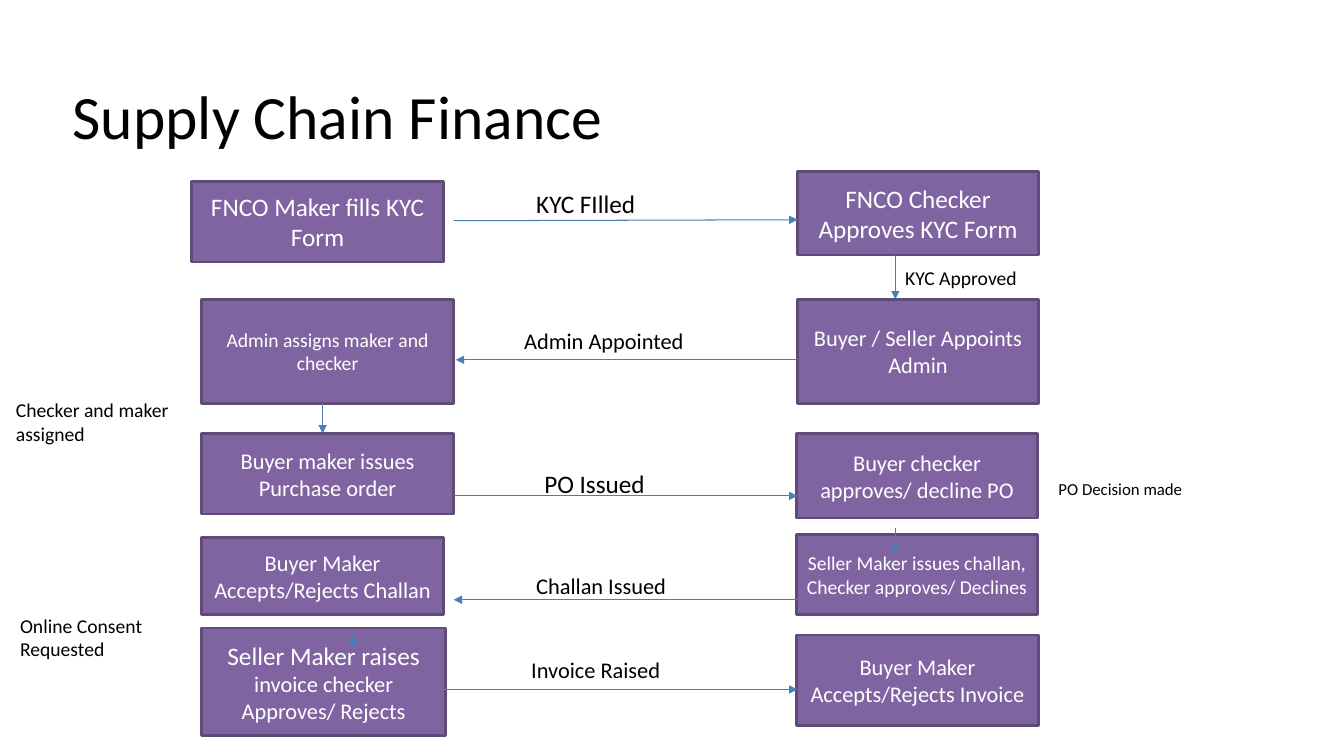
from dataclasses import dataclass

from lxml.etree import SubElement
from pptx import Presentation
from pptx.dml.color import RGBColor
from pptx.enum.shapes import MSO_CONNECTOR, MSO_SHAPE
from pptx.enum.text import MSO_ANCHOR, MSO_AUTO_SIZE, PP_ALIGN
from pptx.oxml.ns import qn
from pptx.slide import Slide
from pptx.text.text import TextFrame
from pptx.util import Emu, Pt

EMU_PER_PX = 9144  # 100 px to the inch
FONT = "Calibri"
COLORS = {
    "text": "000000",
    "step_text": "FFFFFF",
    "step_fill": "8064A2",
    "step_line": "5F4A78",
    "arrow": "4A7EBB",
}


@dataclass(frozen=True)
class Run:
    text: str
    size: int


@dataclass(frozen=True)
class Block:
    left: int
    top: int
    width: int
    height: int
    runs: tuple[Run, ...]


@dataclass(frozen=True)
class Arrow:
    x1: int
    y1: int
    x2: int
    y2: int


STEPS = (
    Block(190, 180, 250, 80, (Run("FNCO Maker fills KYC Form", 18),)),
    Block(791, 170, 239, 83, (Run("FNCO Checker Approves KYC Form", 18),)),
    Block(791, 297, 239, 103, (Run("Buyer / Seller Appoints Admin", 16),)),
    Block(200, 297, 250, 103, (Run("Admin assigns maker and checker", 14),)),
    Block(200, 430, 250, 80, (Run("Buyer maker issues Purchase order", 16),)),
    Block(790, 430, 239, 84, (Run("Buyer checker approves/ decline PO", 16),)),
    Block(790, 530, 239, 80,
          (Run("Seller Maker issues challan, Checker approves/ Declines", 14),)),
    Block(200, 533, 240, 77, (Run("Buyer Maker Accepts/Rejects Challan", 16),)),
    Block(200, 623, 242, 107,
          (Run("Seller Maker raises ", 18), Run("invoice checker Approves/ Rejects", 16))),
    Block(790, 630, 240, 90, (Run("Buyer Maker Accepts/Rejects Invoice", 16),)),
)

ARROWS = (
    Arrow(450, 219, 791, 218),
    Arrow(888, 253, 888, 297),
    Arrow(791, 357, 452, 357),
    Arrow(320, 400, 320, 430),
    Arrow(450, 492, 791, 492),
    Arrow(888, 524, 888, 550),
    Arrow(791, 595, 450, 595),
    Arrow(350, 627, 350, 643),
    Arrow(434, 684, 791, 684),
)

EVENTS = (
    Block(522, 182, 181, 40, (Run("KYC FIlled", 18),)),
    Block(888, 259, 227, 33, (Run("KYC Approved", 14),)),
    Block(510, 320, 212, 36, (Run("Admin Appointed", 16),)),
    Block(6, 390, 204, 56, (Run("Checker and maker assigned", 14),)),
    Block(530, 460, 192, 40, (Run("PO Issued", 18),)),
    Block(1040, 470, 143, 50, (Run("PO Decision made", 12),)),
    Block(522, 563, 212, 36, (Run("Challan Issued", 16),)),
    Block(10, 604, 185, 56, (Run("Online Consent Requested", 14),)),
    Block(517, 646, 226, 36, (Run("Invoice Raised", 16),)),
)

HEADING = Block(62, 37, 1063, 164, (Run("Supply Chain Finance", 44),))


def px(length: int) -> Emu:
    return Emu(length * EMU_PER_PX)


def color(name: str) -> RGBColor:
    return RGBColor.from_string(COLORS[name])


def bounds(block: Block) -> tuple[Emu, Emu, Emu, Emu]:
    return px(block.left), px(block.top), px(block.width), px(block.height)


def write(frame: TextFrame, runs: tuple[Run, ...], ink: str,
          align: PP_ALIGN, anchor: MSO_ANCHOR) -> None:
    frame.word_wrap = True
    frame.auto_size = MSO_AUTO_SIZE.NONE
    frame.vertical_anchor = anchor
    paragraph = frame.paragraphs[0]
    paragraph.alignment = align
    for part in runs:
        run = paragraph.add_run()
        run.text = part.text
        run.font.name = FONT
        run.font.size = Pt(part.size)
        run.font.color.rgb = color(ink)


def add_heading(slide: Slide, heading: Block) -> None:
    title = slide.shapes.title
    title.left, title.top, title.width, title.height = bounds(heading)
    write(title.text_frame, heading.runs, "text", PP_ALIGN.LEFT, MSO_ANCHOR.MIDDLE)
    title.text_frame.paragraphs[0].line_spacing = 0.9


def add_step(slide: Slide, step: Block) -> None:
    box = slide.shapes.add_shape(MSO_SHAPE.RECTANGLE, *bounds(step))
    box.shadow.inherit = False
    box.fill.solid()
    box.fill.fore_color.rgb = color("step_fill")
    box.line.color.rgb = color("step_line")
    box.line.width = Pt(2)
    write(box.text_frame, step.runs, "step_text", PP_ALIGN.CENTER, MSO_ANCHOR.MIDDLE)


def add_arrow(slide: Slide, arrow: Arrow) -> None:
    connector = slide.shapes.add_connector(
        MSO_CONNECTOR.STRAIGHT,
        px(arrow.x1), px(arrow.y1), px(arrow.x2), px(arrow.y2))
    connector.line.color.rgb = color("arrow")
    connector.line.width = Pt(0.75)
    properties = connector.element.spPr
    SubElement(properties.find(qn("a:ln")), qn("a:tailEnd"), type="triangle")
    SubElement(properties, qn("a:effectLst"))


def add_event(slide: Slide, event: Block) -> None:
    label = slide.shapes.add_textbox(*bounds(event))
    write(label.text_frame, event.runs, "text", PP_ALIGN.LEFT, MSO_ANCHOR.TOP)


def main() -> None:
    deck = Presentation()
    deck.slide_width, deck.slide_height = px(1333), px(750)
    slide = deck.slides.add_slide(deck.slide_layouts.get_by_name("Title Only"))

    # Title
    add_heading(slide, HEADING)

    # Process steps
    for step in STEPS:
        add_step(slide, step)

    # Flow between the steps
    for arrow in ARROWS:
        add_arrow(slide, arrow)

    # Events along the flow
    for event in EVENTS:
        add_event(slide, event)

    deck.save("out.pptx")


if __name__ == "__main__":
    main()
